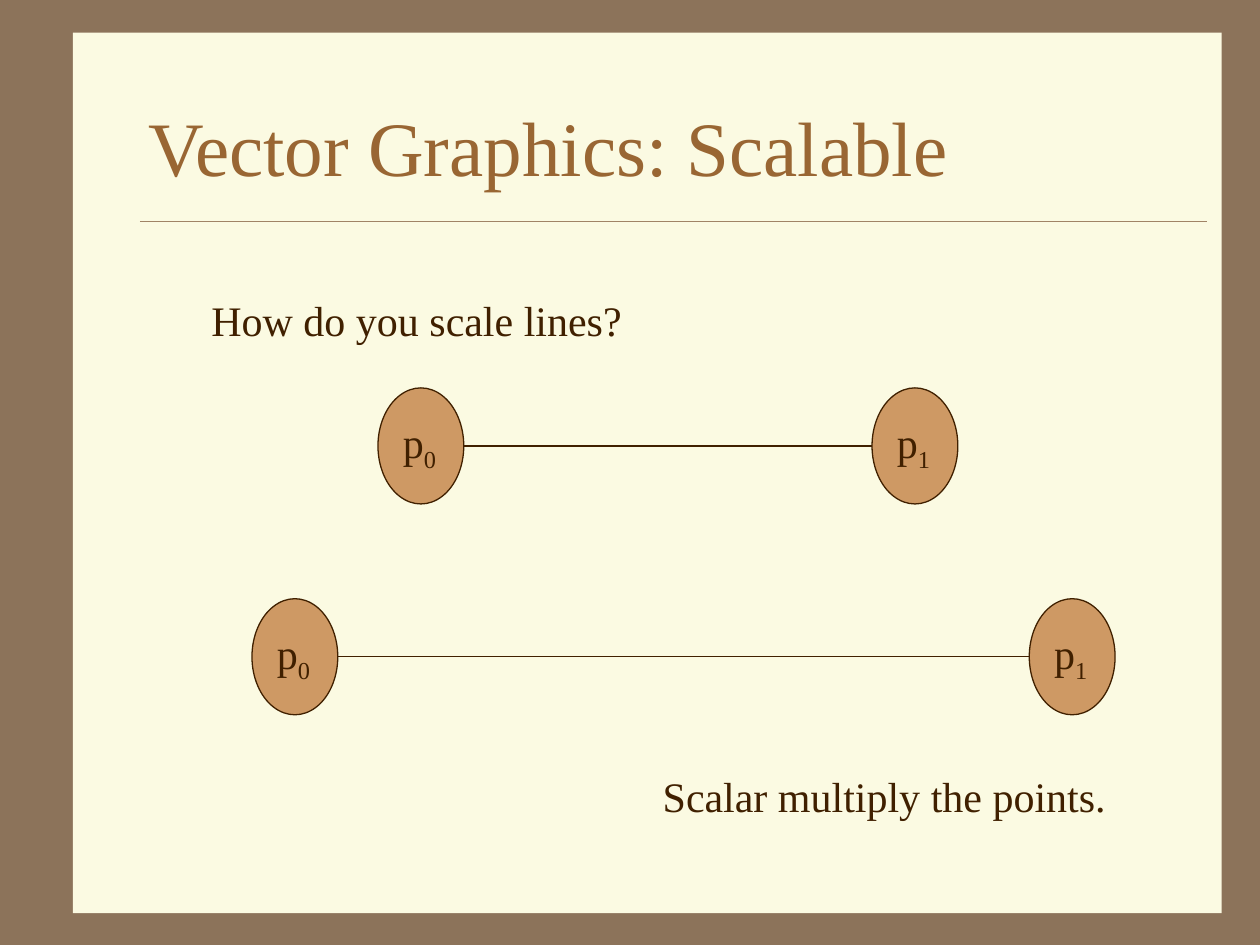
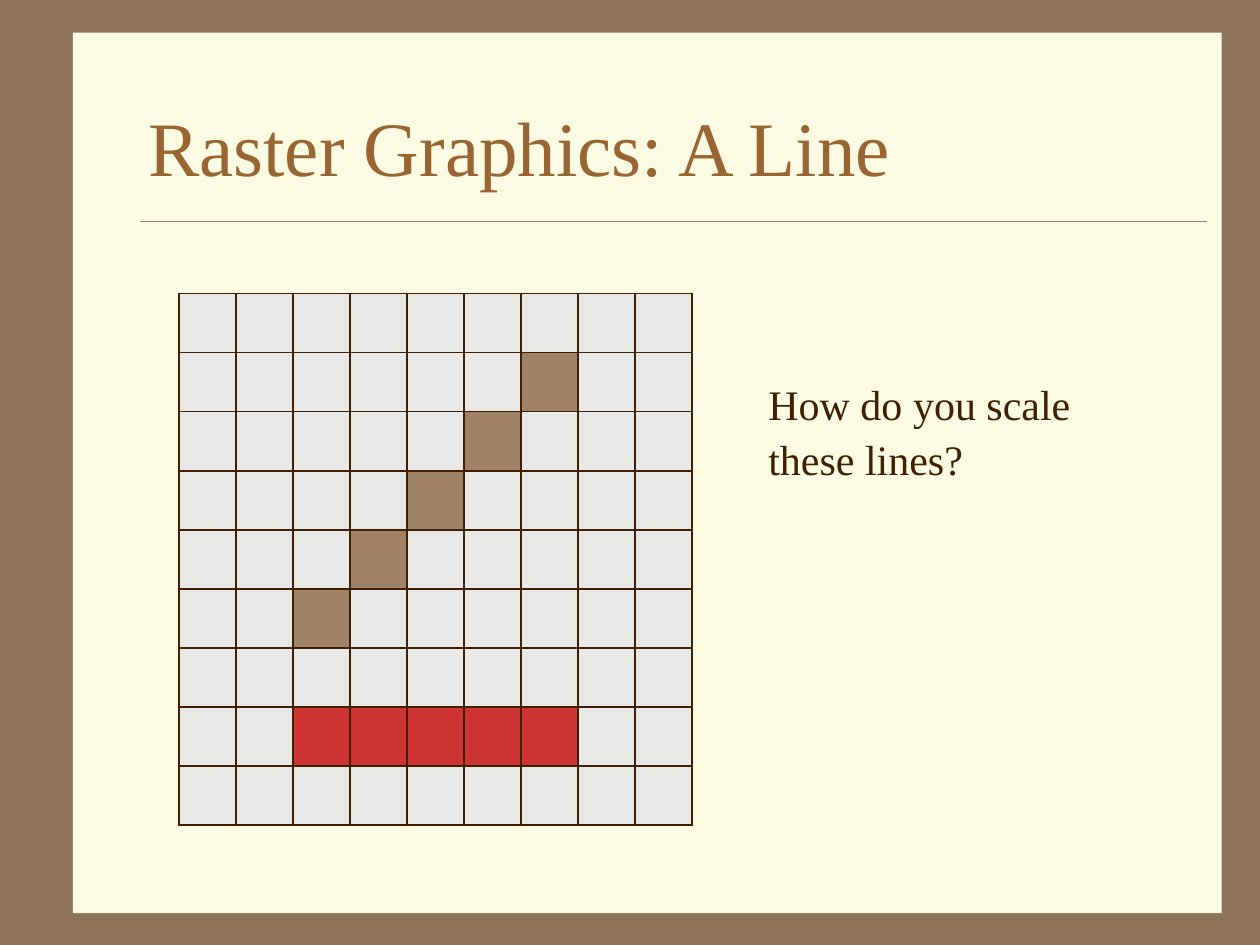
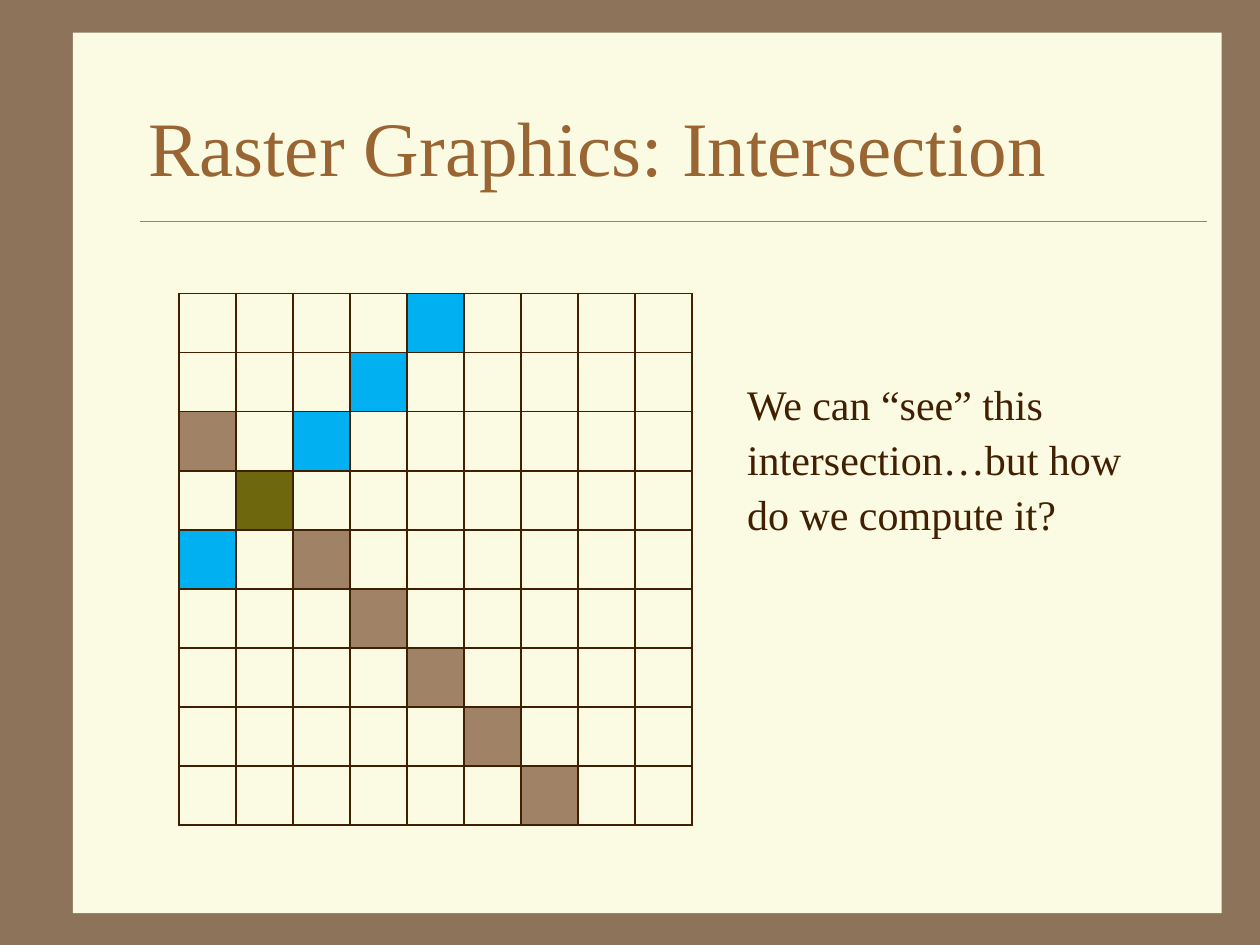
"""Build three slides that compare vector and raster graphics."""
from lxml.etree import SubElement as Sub
from pptx import Presentation
from pptx.dml.color import RGBColor as RGB
from pptx.enum.shapes import MSO_CONNECTOR as Link, MSO_SHAPE as Kind
from pptx.enum.text import MSO_ANCHOR as Anchor, PP_ALIGN as Align
from pptx.oxml import parse_xml
from pptx.oxml.ns import nsdecls, qn
from pptx.util import Cm, Pt

FRAME = RGB(0x8C, 0x73, 0x5A)
PAPER = RGB(0xFB, 0xFA, 0xE2)
RULE = RGB(0xA0, 0x83, 0x66)
TITLE = RGB(0x99, 0x66, 0x33)
INK = RGB(0x40, 0x20, 0x00)
NODE = RGB(0xCE, 0x99, 0x64)
GREY = RGB(0xE8, 0xE8, 0xE7)
RED = RGB(0xCD, 0x33, 0x33)
BLUE = RGB(0x00, 0xB0, 0xF0)
OLIVE = RGB(0x6E, 0x67, 0x0D)
FONT = "Times New Roman"
LEADING = 1.09

FILLS = {".": None, "g": GREY, "t": RULE, "r": RED, "b": BLUE, "o": OLIVE}
NODE_W, NODE_H = 1.73, 2.34
GRID_X, GRID_Y, COL_W, ROW_H = 3.61, 5.92, 1.15, 1.19

SLIDES = [
    {
        "title": "Vector Graphics: Scalable",
        "lines": [(7.62, 17.58, 7.82), (5.08, 20.75, 12.07)],
        "notes": [
            ("How do you scale lines?", (4.01, 5.72, 9.07, 1.27), False),
            ("Scalar multiply the points.", (13.11, 15.32, 9.53, 1.27), False),
        ],
    },
    {
        "title": "Raster Graphics: A Line",
        "grid": [
            "ggggggggg",
            "ggggggtgg",
            "gggggtggg",
            "ggggtgggg",
            "gggtggggg",
            "ggtgggggg",
            "ggggggggg",
            "ggrrrrrgg",
            "ggggggggg",
        ],
        "notes": [("How do you scale these lines?", (15.24, 7.42, 8, 2.31), True)],
    },
    {
        "title": "Raster Graphics: Intersection",
        "grid": [
            "....b....",
            "...b.....",
            "t.b......",
            ".o.......",
            "b.t......",
            "...t.....",
            "....t....",
            ".....t...",
            "......t..",
        ],
        "notes": [
            (
                "We can “see” this intersection…but how do we compute it?",
                (14.81, 7.42, 8.38, 3.33),
                True,
            )
        ],
    },
]


def cms(vals):
    return [Cm(val) for val in vals]


def write(shape, runs, size=24, color=INK, wrap=True, anchor=Anchor.TOP):
    frame = shape.text_frame
    frame.word_wrap = wrap
    frame.vertical_anchor = anchor
    para = frame.paragraphs[0]
    para.alignment = Align.LEFT
    para.line_spacing = LEADING
    for text, base in runs:
        run = para.add_run()
        run.text = text
        run.font.name = FONT
        run.font.size = Pt(size)
        run.font.color.rgb = color
        if base:
            run.font._element.set("baseline", str(base))


def add_text(slide, text, box, **style):
    write(slide.shapes.add_textbox(*cms(box)), [(text, 0)], **style)


def add_form(slide, kind, box, fill, edge=None):
    shape = slide.shapes.add_shape(kind, *cms(box))
    shape.shadow.inherit = False
    shape.fill.solid()
    shape.fill.fore_color.rgb = fill
    if edge is None:
        shape.line.fill.background()
    else:
        shape.line.color.rgb = edge
        shape.line.width = Pt(0.75)
    return shape


def add_line(slide, left, right, y, color, width):
    line = slide.shapes.add_connector(Link.STRAIGHT, *cms((left, y, right, y)))
    line.line.color.rgb = color
    line.line.width = Pt(width)
    Sub(line._element.spPr, qn("a:effectLst"))


def add_base(slide, title):
    add_form(slide, Kind.RECTANGLE, (1.47, 0.66, 23.16, 17.75), PAPER)
    add_line(slide, 2.82, 24.33, 4.45, RULE, 0.25)
    add_text(slide, title, (2.74, 1.27, 21.59, 3.18),
             size=44, color=TITLE, anchor=Anchor.MIDDLE)


def add_pair(slide, left, right, top):
    for num, x in enumerate((left, right)):
        node = add_form(slide, Kind.OVAL, (x, top, NODE_W, NODE_H), NODE, INK)
        write(node, [("p", 0), (str(num), -25000)], wrap=False)
    add_line(slide, left + NODE_W, right, top + NODE_H / 2, INK, 0.75)


def add_edges(cell):
    props = cell._tc.get_or_add_tcPr()
    for pos, side in enumerate("LRTB"):
        props.insert(pos, parse_xml(
            f'<a:ln{side} {nsdecls("a")} w="{Pt(1)}"><a:solidFill>'
            f'<a:srgbClr val="{INK}"/></a:solidFill></a:ln{side}>'))


def add_grid(slide, rows):
    high, wide = len(rows), len(rows[0])
    box = cms((GRID_X, GRID_Y, wide * COL_W, high * ROW_H))
    table = slide.shapes.add_table(high, wide, *box).table
    table.first_row = table.horz_banding = False
    for col in table.columns:
        col.width = Cm(COL_W)
    for row, marks in zip(table.rows, rows):
        row.height = Cm(ROW_H)
        for cell, mark in zip(row.cells, marks):
            color = FILLS[mark]
            if color is None:
                cell.fill.background()
            else:
                cell.fill.solid()
                cell.fill.fore_color.rgb = color
            add_edges(cell)


def main():
    deck = Presentation()
    deck.slide_width, deck.slide_height = Cm(25.4), Cm(19.05)
    back = deck.slide_master.background.fill
    back.solid()
    back.fore_color.rgb = FRAME
    for page in SLIDES:
        slide = deck.slides.add_slide(deck.slide_layouts[6])
        add_base(slide, page["title"])
        for pair in page.get("lines", []):
            add_pair(slide, *pair)
        if "grid" in page:
            add_grid(slide, page["grid"])
        for text, box, wrap in page["notes"]:
            add_text(slide, text, box, wrap=wrap)
    deck.save("out.pptx")


if __name__ == "__main__":
    main()
